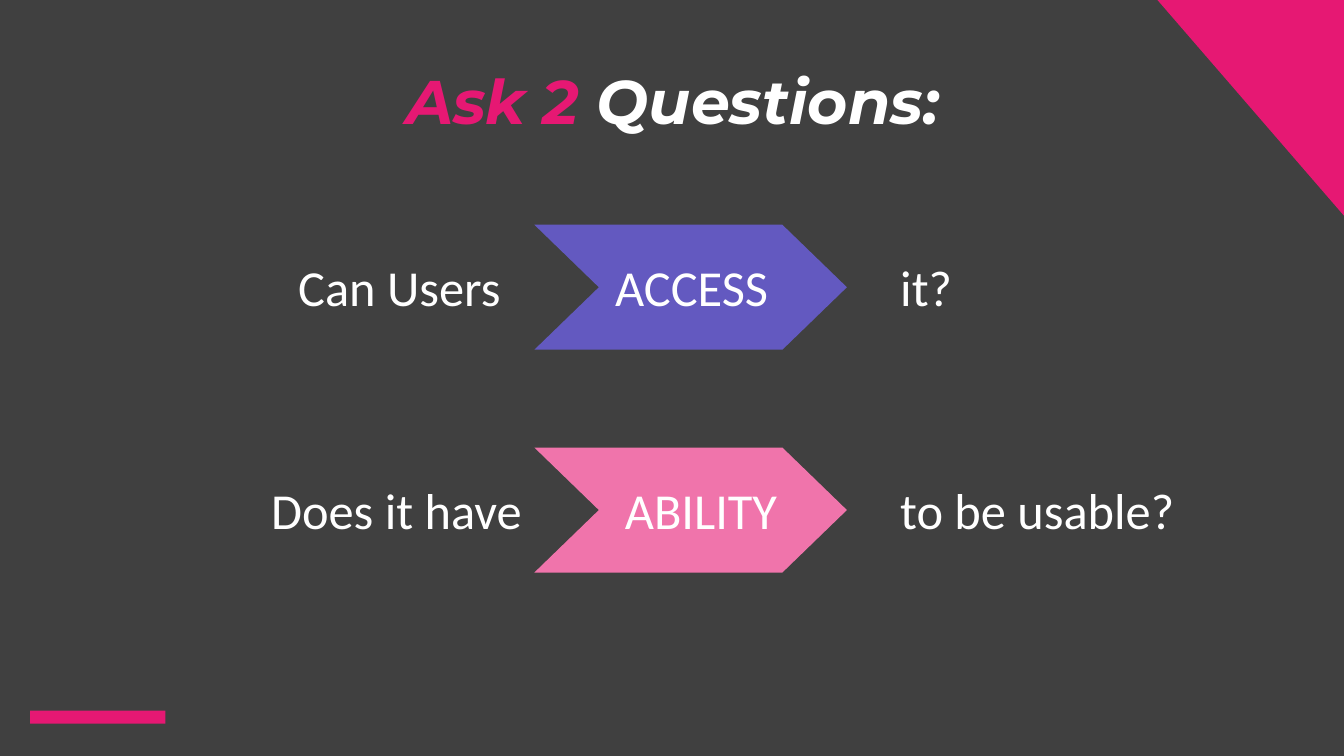
"""Build the "Ask 2 Questions" slide with two arrow-shaped keywords."""
from dataclasses import dataclass

from pptx import Presentation
from pptx import util as u
from pptx.dml.color import RGBColor
from pptx.enum import shapes, text


@dataclass(frozen=True)
class Theme:
    back: str = "404040"
    accent: str = "E61873"
    ink: str = "FFFFFF"
    violet: str = "6359C0"
    rose: str = "F074AB"
    title_font: str = "Montserrat"
    body_font: str = "Calibri"
    title_size: int = 44
    body_size: int = 36


T = Theme()
WIDTH, HEIGHT = 13.33, 7.5
TITLE = [("Ask 2 ", T.accent), ("Questions:", T.ink)]
QUESTIONS = [
    (T.violet, [("Can Users", 2.86, 2.23), ("ACCESS", 5.72, 2.28), ("it?", 8.83, 0.72)]),
    (T.rose, [("Does it have", 2.59, 2.71), ("ABILITY", 6.1, 1.73), ("to be usable?", 8.83, 2.94)]),
]
ROW_TOP, ROW_STEP = 2.23, 2.21
ARROW_LEFT, ARROW_W, ARROW_H, POINT = 5.3, 3.1, 1.24, 0.64
LABEL_H = 0.71


def paint(sp, color):
    sp.shadow.inherit = False
    sp.fill.solid()
    sp.fill.fore_color.rgb = RGBColor.from_string(color)
    sp.line.fill.background()


def add_block(s, kind, left, top, width, height):
    sp = s.shapes.add_shape(kind, *map(u.Inches, (left, top, width, height)))
    paint(sp, T.accent)
    return sp


def add_text(s, runs, left, top, width, height, font, size, strong=False, wrap=False, center=False):
    tf = s.shapes.add_textbox(*map(u.Inches, (left, top, width, height))).text_frame
    tf.word_wrap = wrap
    tf.auto_size = text.MSO_AUTO_SIZE.SHAPE_TO_FIT_TEXT
    p = tf.paragraphs[0]
    p.alignment = text.PP_ALIGN.CENTER if center else text.PP_ALIGN.LEFT
    for words, color in runs:
        r = p.add_run()
        r.text = words
        r.font.name, r.font.size = font, u.Pt(size)
        r.font.bold = r.font.italic = strong
        r.font.color.rgb = RGBColor.from_string(color)


def add_arrow(s, top, color):
    right, middle, bottom = ARROW_LEFT + ARROW_W, top + ARROW_H / 2, top + ARROW_H
    outline = [(ARROW_LEFT, top), (ARROW_LEFT + POINT, middle), (ARROW_LEFT, bottom),
               (right - POINT, bottom), (right, middle), (right - POINT, top)]
    start, *rest = [(u.Inches(x), u.Inches(y)) for x, y in outline]
    fb = s.shapes.build_freeform(*start)
    fb.add_line_segments(rest, close=True)
    paint(fb.convert_to_shape(), color)


def main():
    prs = Presentation()
    prs.slide_width, prs.slide_height = u.Inches(WIDTH), u.Inches(HEIGHT)
    s = prs.slides.add_slide(prs.slide_layouts[6])
    s.background.fill.solid()
    s.background.fill.fore_color.rgb = RGBColor.from_string(T.back)

    add_text(s, TITLE, 3.1, 0.58, 7.15, 0.84, T.title_font, T.title_size,
             strong=True, wrap=True, center=True)
    add_block(s, shapes.MSO_SHAPE.RECTANGLE, 0.3, 7.05, 1.34, 0.13)
    corner = add_block(s, shapes.MSO_SHAPE.RIGHT_TRIANGLE, WIDTH - 1.85, 0, 1.85, 2.14)
    corner.rotation = 180

    for i, (color, labels) in enumerate(QUESTIONS):
        top = ROW_TOP + i * ROW_STEP
        add_arrow(s, top, color)
        for words, left, width in labels:
            add_text(s, [(words, T.ink)], left, top + (ARROW_H - LABEL_H) / 2, width, LABEL_H,
                     T.body_font, T.body_size, center=words == "ACCESS", wrap=words == "ACCESS")
    prs.save("out.pptx")


if __name__ == "__main__":
    main()
